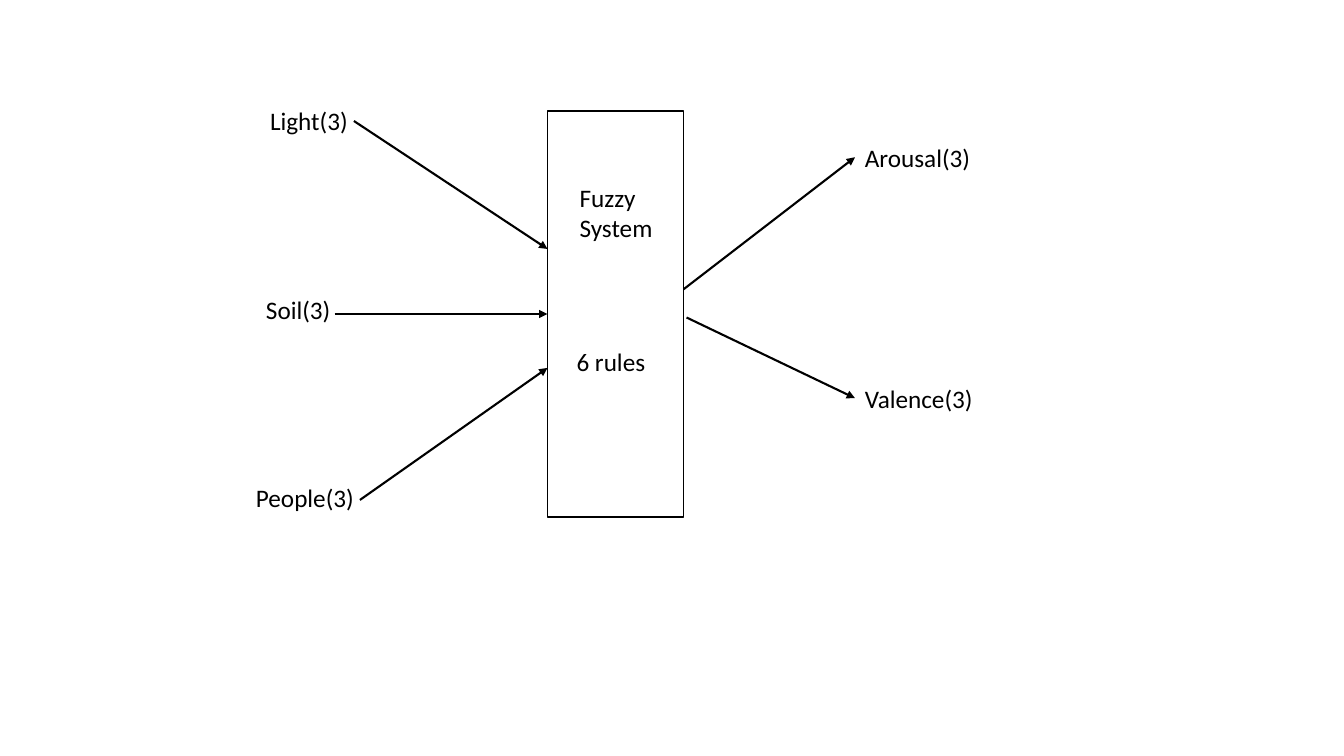
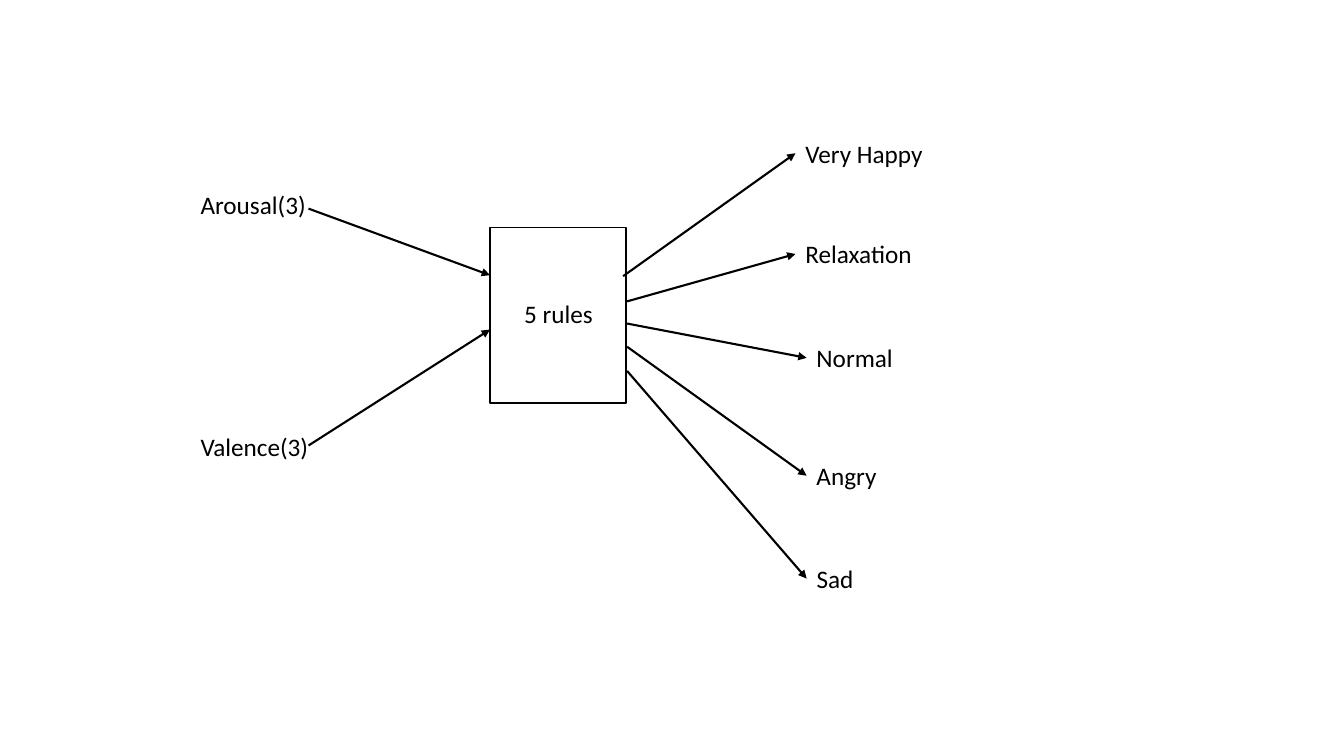
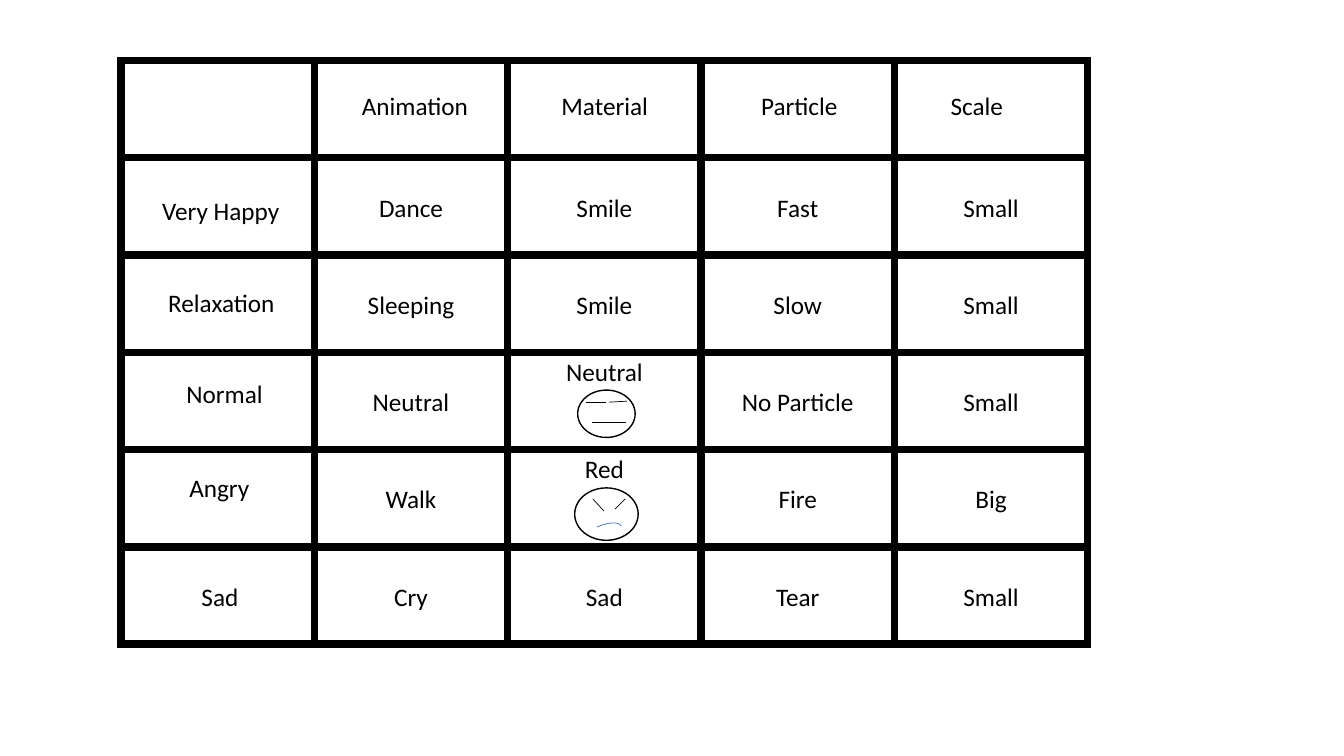
from lxml import etree
from pptx import Presentation
from pptx.dml.color import RGBColor
from pptx.enum import shapes, text
from pptx.oxml import ns
from pptx.util import Inches, Pt

BLACK = RGBColor(0, 0, 0)
WHITE = RGBColor(255, 255, 255)
MOUTH_BLUE = RGBColor(0x44, 0x72, 0xC4)
FONT = "Calibri"
TEXT_SIZE = Pt(18)
LABEL_HEIGHT = 0.4
LEFT_SIDE = 1

# Labels: text, left, top, width. Inputs add the arrow's start and its end
# height on the box; outputs add the arrow's start on the box. A height of
# None stands for the middle of the box.
FUZZY_SYSTEM = {
    "box": (5.43, 1.1, 1.35, 4.03),
    "captions": [("Fuzzy System", 5.65, 1.76, 1.16), ("6 rules", 5.62, 3.39, 1.16)],
    "inputs": [
        (("Light(3)", 2.58, 1, 1.16), (3.51, 1.2), 2.47),
        (("Soil(3)", 2.54, 2.87, 1.16), (3.32, None), None),
        (("People(3)", 2.44, 4.74, 1.35), (3.57, 4.96), 3.65),
    ],
    "outputs": [
        (("Arousal(3)", 8.48, 1.36, 1.35), (6.78, 2.87)),
        (("Valence(3)", 8.48, 3.75, 1.35), (6.81, 3.15)),
    ],
}
EMOTION_RULES = {
    "box": (4.86, 2.26, 1.35, 1.74),
    "captions": [("5 rules", 5.1, 2.91, 1.04)],
    "inputs": [
        (("Arousal(3)", 1.89, 1.83, 1.35), (3.06, 2.07), 2.73),
        (("Valence(3)", 1.89, 4.23, 1.35), (3.06, 4.42), 3.27),
    ],
    "outputs": [
        (("Very Happy", 7.89, 1.32, 1.57), (6.18, 2.74)),
        (("Relaxation", 7.89, 2.32, 1.57), (6.22, 2.99)),
        (("Normal", 8, 3.35, 1.57), (6.22, 3.21)),
        (("Angry", 8, 4.52, 1.57), (6.22, 3.44)),
        (("Sad", 8, 5.54, 0.91), (6.22, 3.68)),
    ],
}

TABLE_AREA = (1.2, 0.6, 9.59, 5.79)
RESPONSES = [
    ["", "", "", "", ""],
    ["", "Dance", "Smile", "Fast", "Small"],
    ["", "Sleeping", "Smile", "Slow", "Small"],
    ["", "Neutral", "Neutral", "No Particle", "Small"],
    ["", "Walk", "Red", "Fire", "Big"],
    ["", "Cry", "Sad", "Tear", "Small"],
]
HEADINGS = [
    ("Very Happy", 1.51, 1.89, 1.57),
    ("Relaxation", 1.57, 2.8, 1.57),
    ("Normal", 1.75, 3.7, 1.57),
    ("Angry", 1.78, 4.64, 1.57),
    ("Sad", 1.9, 5.72, 0.91),
    ("Animation", 3.49, 0.85, 1.98),
    ("Material", 5.47, 0.85, 1.98),
    ("Particle", 7.45, 0.85, 1.98),
    ("Scale", 9.33, 0.85, 1.98),
]
CELL_TOP = 0.35
FACE_CELL_TOP = 0.05
FACE_CELLS = {(3, 2), (4, 2)}

NEUTRAL_FACE = {
    "head": (5.73, 3.87, 0.57, 0.47),
    "strokes": [((5.81, 3.99), (6.01, 3.99)), ((6.22, 3.98), (6.04, 3.99)),
                ((5.87, 4.19), (6.21, 4.19))],
}
ANGRY_FACE = {
    "head": (5.7, 4.84, 0.63, 0.52),
    "strokes": [((5.88, 4.95), (5.99, 5.07)), ((6.2, 4.95), (6.1, 5.05))],
    "mouth": (5.69, 5.23, 0.5, 0.2),
}


def inches(values):
    return [Inches(value) for value in values]


def format_text(text_frame):
    for paragraph in text_frame.paragraphs:
        for run in paragraph.runs:
            run.font.name = FONT
            run.font.size = TEXT_SIZE
            run.font.color.rgb = BLACK


def add_label(slide, words, left, top, width):
    label = slide.shapes.add_textbox(*inches((left, top, width, LABEL_HEIGHT)))
    label.text_frame.word_wrap = True
    label.text_frame.text = words
    format_text(label.text_frame)
    return label


def add_outline(container, preset, area, weight=1, color=BLACK, fill=None):
    shape = container.shapes.add_shape(preset, *inches(area))
    shape.shadow.inherit = False
    shape.line.color.rgb = color
    shape.line.width = Pt(weight)
    if fill is None:
        shape.fill.background()
    else:
        shape.fill.solid()
        shape.fill.fore_color.rgb = fill
    return shape


def add_line(container, start, end, weight):
    line = container.shapes.add_connector(
        shapes.MSO_CONNECTOR.STRAIGHT, *inches(start + end))
    line.line.color.rgb = BLACK
    line.line.width = Pt(weight)
    etree.SubElement(line._element.spPr, ns.qn("a:effectLst"))
    return line


def add_arrow(slide, start, end):
    arrow = add_line(slide, start, end, 1.5)
    etree.SubElement(arrow.line._get_or_add_ln(), ns.qn("a:tailEnd"), type="triangle")
    return arrow


def add_rule_diagram(slide, diagram):
    box = add_outline(slide, shapes.MSO_SHAPE.RECTANGLE, diagram["box"])
    box_left, box_top, _, box_height = diagram["box"]
    middle = box_top + box_height / 2
    for caption in diagram["captions"]:
        add_label(slide, *caption)
    for label, start, end_height in diagram["inputs"]:
        add_label(slide, *label)
        if end_height is None:
            arrow = add_arrow(slide, (start[0], middle), (box_left, middle))
            arrow.end_connect(box, LEFT_SIDE)
        else:
            add_arrow(slide, start, (box_left, end_height))
    for label, start in diagram["outputs"]:
        target = add_label(slide, *label)
        _, left, top, _ = label
        arrow = add_arrow(slide, start, (left, top + LABEL_HEIGHT / 2))
        arrow.end_connect(target, LEFT_SIDE)


def style_cell(cell):
    """Give a cell thick black borders and a white fill."""
    properties = cell._tc.get_or_add_tcPr()
    for side in ("lnL", "lnR", "lnT", "lnB"):
        border = etree.SubElement(properties, ns.qn(f"a:{side}"), w=str(Pt(6)))
        fill = etree.SubElement(border, ns.qn("a:solidFill"))
        etree.SubElement(fill, ns.qn("a:srgbClr"), val=str(BLACK))
    cell.fill.solid()
    cell.fill.fore_color.rgb = WHITE


def add_response_table(slide):
    frame = slide.shapes.add_table(
        len(RESPONSES), len(RESPONSES[0]), *inches(TABLE_AREA))
    table = frame.table
    table.first_row = table.horz_banding = False
    for row, words_in_row in enumerate(RESPONSES):
        for column, words in enumerate(words_in_row):
            cell = table.cell(row, column)
            style_cell(cell)
            if words:
                top = FACE_CELL_TOP if (row, column) in FACE_CELLS else CELL_TOP
                cell.margin_top = Inches(top)
                cell.text_frame.text = words
                cell.text_frame.paragraphs[0].alignment = text.PP_ALIGN.CENTER
                format_text(cell.text_frame)


def add_face(slide, face):
    group = slide.shapes.add_group_shape()
    add_outline(group, shapes.MSO_SHAPE.OVAL, face["head"], fill=WHITE)
    for start, end in face["strokes"]:
        add_line(group, start, end, 0.5)
    if "mouth" in face:
        mouth = add_outline(group, shapes.MSO_SHAPE.ARC, face["mouth"], 0.5, MOUTH_BLUE)
        mouth.rotation = 333.9
        mouth.adjustments[0] = 171.58
        mouth.adjustments[1] = 0


def main():
    presentation = Presentation()
    presentation.slide_width = Inches(13.33)
    presentation.slide_height = Inches(7.5)
    blank = presentation.slide_layouts[6]
    for diagram in (FUZZY_SYSTEM, EMOTION_RULES):
        add_rule_diagram(presentation.slides.add_slide(blank), diagram)
    response_slide = presentation.slides.add_slide(blank)
    add_response_table(response_slide)
    for heading in HEADINGS:
        add_label(response_slide, *heading)
    for face in (ANGRY_FACE, NEUTRAL_FACE):
        add_face(response_slide, face)
    presentation.save("out.pptx")


if __name__ == "__main__":
    main()
